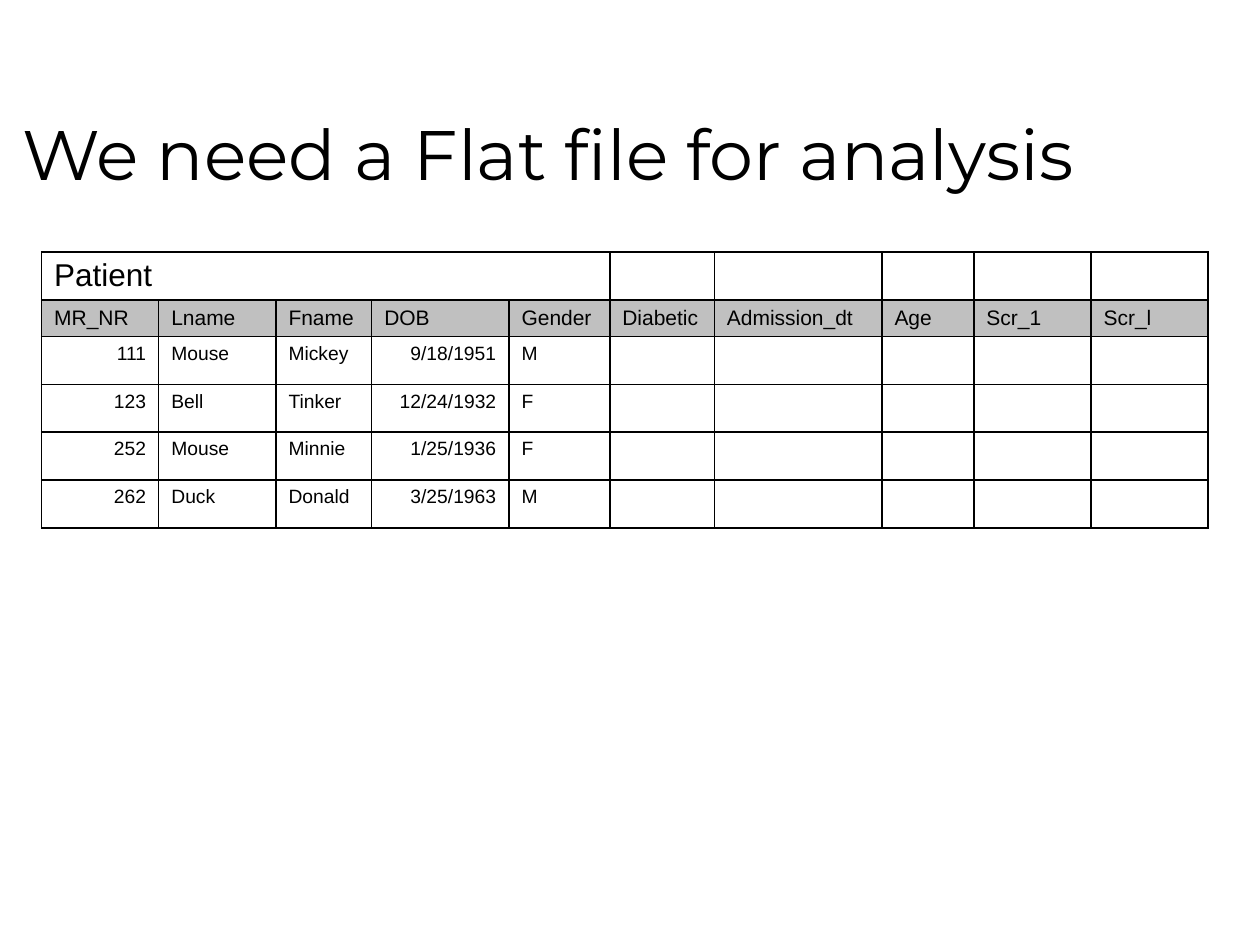
from lxml import etree
from pptx import Presentation
from pptx.dml.color import RGBColor
from pptx.enum.text import MSO_ANCHOR, PP_ALIGN
from pptx.oxml.ns import qn
from pptx.util import Inches, Pt

LEFT, RIGHT = PP_ALIGN.LEFT, PP_ALIGN.RIGHT
TOP, MIDDLE = MSO_ANCHOR.TOP, MSO_ANCHOR.MIDDLE

THEME = {
    "title_font": "Montserrat", "body_font": "Arial",
    "title": 40, "caption": 18, "header": 12, "body": 11,
    "ink": "000000", "paper": "FFFFFF", "band": "C0C0C0",
    "border": 1,
}

TITLE = "We need a Flat file for analysis"
CAPTION = "Patient"
# heading, width in inches, alignment of the values
COLUMNS = [
    ("MR_NR", 0.93, RIGHT), ("Lname", 0.93, LEFT), ("Fname", 0.76, LEFT),
    ("DOB", 1.09, RIGHT), ("Gender", 0.8, LEFT), ("Diabetic", 0.83, LEFT),
    ("Admission_dt", 1.33, LEFT), ("Age", 0.73, LEFT),
    ("Scr_1", 0.93, LEFT), ("Scr_l", 0.93, LEFT),
]
PATIENTS = [
    ("111", "Mouse", "Mickey", "9/18/1951", "M"),
    ("123", "Bell", "Tinker", "12/24/1932", "F"),
    ("252", "Mouse", "Minnie", "1/25/1936", "F"),
    ("262", "Duck", "Donald", "3/25/1963", "M"),
]
KNOWN = len(PATIENTS[0])
ROW_HEIGHT, HEADER_HEIGHT = 0.38, 0.29


def style_paragraph(p, text, size, font, align=LEFT):
    p.text = text
    p.alignment = align
    p.font.size = Pt(size)
    p.font.name = font
    p.font.color.rgb = RGBColor.from_string(THEME["ink"])


def add_borders(cell):
    tc_pr = cell._tc.get_or_add_tcPr()
    for i, side in enumerate(("lnL", "lnR", "lnT", "lnB")):
        ln = etree.Element(qn(f"a:{side}"), w=str(Pt(THEME["border"])))
        fill = etree.SubElement(ln, qn("a:solidFill"))
        etree.SubElement(fill, qn("a:srgbClr"), val=THEME["ink"])
        tc_pr.insert(i, ln)


def fill_row(table, row, texts, size, aligns, anchor, fill):
    for col, align in enumerate(aligns):
        cell = table.cell(row, col)
        text = texts[col] if col < len(texts) else ""
        style_paragraph(cell.text_frame.paragraphs[0], text, size,
                        THEME["body_font"], align)
        cell.vertical_anchor = anchor
        cell.fill.solid()
        cell.fill.fore_color.rgb = RGBColor.from_string(fill)
        add_borders(cell)


def add_title(s):
    tf = s.shapes.add_textbox(Inches(0.08), Inches(0.83),
                              Inches(9.62), Inches(0.77)).text_frame
    tf.word_wrap = True
    style_paragraph(tf.paragraphs[0], TITLE, THEME["title"], THEME["title_font"])


def add_patient_table(s):
    names, widths, aligns = zip(*COLUMNS)
    heights = [ROW_HEIGHT, HEADER_HEIGHT] + [ROW_HEIGHT] * len(PATIENTS)
    table = s.shapes.add_table(len(heights), len(COLUMNS), Inches(0.33), Inches(2),
                               Inches(sum(widths)), Inches(sum(heights))).table
    table.first_row = table.horz_banding = False
    for column, width in zip(table.columns, widths):
        column.width = Inches(width)
    for row, height in zip(table.rows, heights):
        row.height = Inches(height)

    left = [LEFT] * len(COLUMNS)
    fill_row(table, 0, [CAPTION], THEME["caption"], left, MIDDLE, THEME["paper"])
    fill_row(table, 1, names, THEME["header"], left, MIDDLE, THEME["band"])
    for row, patient in enumerate(PATIENTS, start=2):
        fill_row(table, row, patient, THEME["body"], aligns, TOP, THEME["paper"])
    table.cell(0, 0).merge(table.cell(0, KNOWN - 1))


def main():
    prs = Presentation()
    prs.slide_width, prs.slide_height = Inches(10), Inches(7.5)
    s = prs.slides.add_slide(prs.slide_layouts[6])
    add_patient_table(s)
    add_title(s)
    prs.save("out.pptx")


if __name__ == "__main__":
    main()
